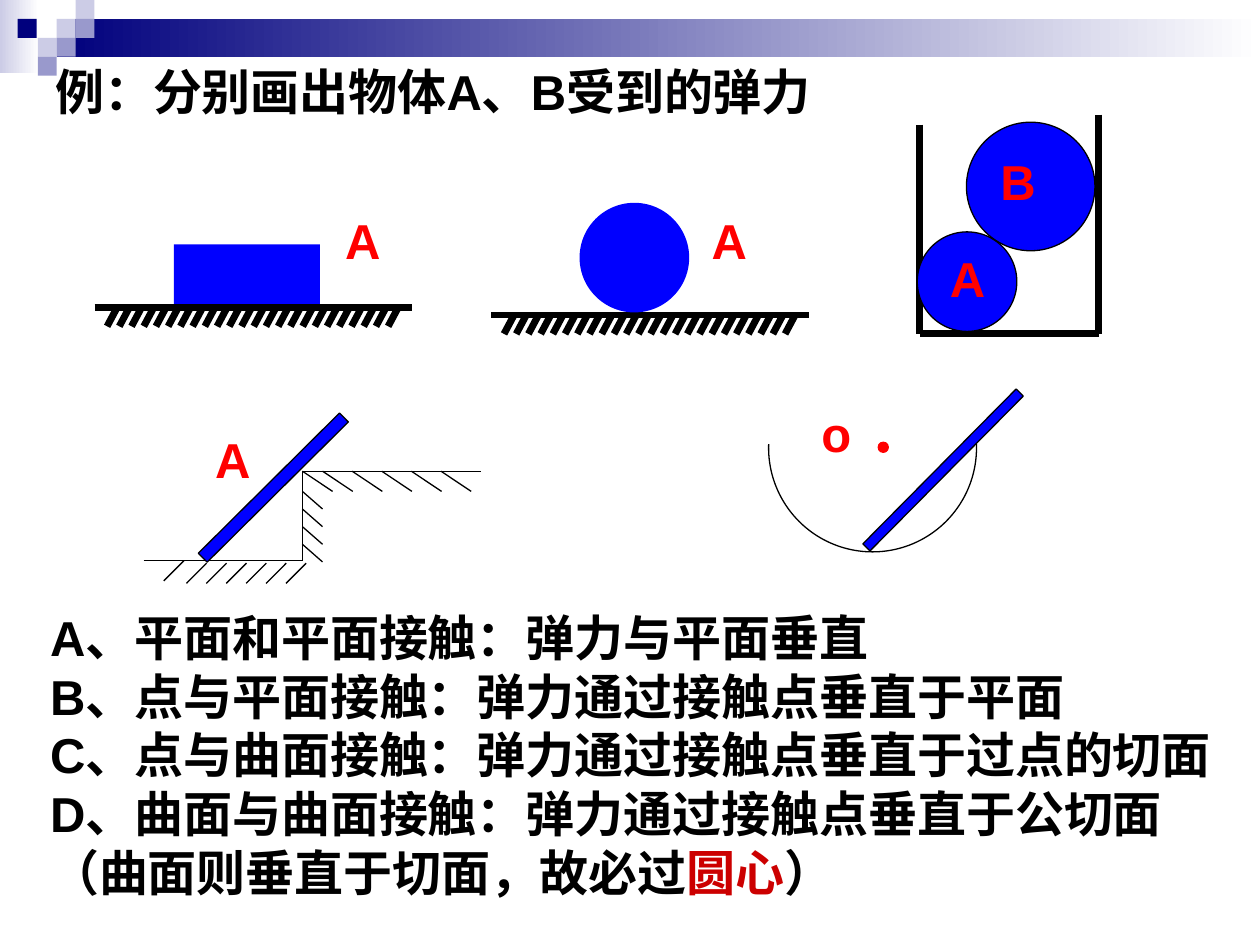
from lxml import etree
from pptx import Presentation
from pptx.dml.color import RGBColor
from pptx.enum import shapes, text
from pptx.oxml.ns import qn
from pptx.util import Inches, Pt

BLACK, WHITE = RGBColor(0, 0, 0), RGBColor(255, 255, 255)
BLUE, RED = RGBColor(0, 0, 255), RGBColor(255, 0, 0)
DARK_RED, NAVY = RGBColor(0xCC, 0, 0), RGBColor(0, 0, 0x7D)
PALE, LILAC = RGBColor(0xCC, 0xCC, 0xE6), RGBColor(0x99, 0x99, 0xCC)
LATIN, CJK = "Arial", "Noto Sans CJK SC"
THIN, THICK = 0.75, 4
RECT, OVAL = shapes.MSO_SHAPE.RECTANGLE, shapes.MSO_SHAPE.OVAL

# Content: each paragraph is a font and its (text, colour) runs
TITLE = [(LATIN, [("例：分别画出物体A、B受到的弹力", BLACK)])]
RULES = [
    (LATIN, [("A、平面和平面接触：弹力与平面垂直", BLACK)]),
    (LATIN, [("B、点与平面接触：弹力通过接触点垂直于平面", BLACK)]),
    (LATIN, [("C、点与曲面接触：弹力通过接触点垂直于过点的切面", BLACK)]),
    (LATIN, [("D、曲面与曲面接触：弹力通过接触点垂直于公切面", BLACK)]),
    (CJK, [("（曲面则垂直于切面，故必过", BLACK), ("圆心", DARK_RED), ("）", BLACK)]),
]
# Header bars (fade to white) and squares
BARS = [((0, 0, 0.31, 0.58), PALE), ((0.45, 0.15, 9.55, 0.3), NAVY)]
SQUARES = [(0.45, 0.15, PALE), (0.6, 0, PALE), (0.6, 0.15, LILAC),
           (0.3, 0.3, PALE), (0.14, 0.15, NAVY), (0.45, 0.3, LILAC),
           (0.3, 0.45, LILAC)]


def add_shape(parent, kind, box, fill=None, line=None, rotation=0):
    sp = parent.shapes.add_shape(kind, *map(Inches, box))
    sp.shadow.inherit = False
    sp.rotation = rotation
    if fill is None:
        sp.fill.background()
    else:
        sp.fill.solid()
        sp.fill.fore_color.rgb = fill
    if line is None:
        sp.line.fill.background()
    else:
        sp.line.color.rgb = line
        sp.line.width = Pt(THIN)
    return sp


def add_line(parent, x1, y1, x2, y2, width=THIN):
    cn = parent.shapes.add_connector(
        shapes.MSO_CONNECTOR.STRAIGHT, *map(Inches, (x1, y1, x2, y2)))
    cn.line.color.rgb = BLACK
    cn.line.width = Pt(width)
    etree.SubElement(cn.element.spPr, qn("a:effectLst"))


def add_hatch(parent, x, y, dx, dy, count, step_x=0, step_y=0, width=THIN):
    for i in range(count):
        left, top = x + i * step_x, y + i * step_y
        add_line(parent, left, top, left + dx, top + dy, width)


def add_ground(parent, x, y):
    add_line(parent, x, y, x + 2.52, y, THICK)
    add_hatch(parent, x + 0.18, y, -0.08, 0.15, 24, step_x=0.097, width=THICK)


def add_text(parent, box, paragraphs, wrap=False):
    tf = parent.shapes.add_textbox(*map(Inches, box)).text_frame
    tf.word_wrap = wrap
    tf.auto_size = text.MSO_AUTO_SIZE.SHAPE_TO_FIT_TEXT
    for i, (font, runs) in enumerate(paragraphs):
        p = tf.add_paragraph() if i else tf.paragraphs[0]
        p.font.size, p.font.bold, p.font.name = Pt(28), True, font
        if len(runs) == 1:
            p.font.color.rgb = runs[0][1]
        props = p.font._element
        etree.SubElement(props, qn("a:ea")).set("typeface", CJK)
        for words, color in runs:
            r = p.add_run()
            r.text = words
            if len(runs) > 1:
                r.font.color.rgb = color


def add_label(parent, letter, x, y, width=0.48):
    add_text(parent, (x, y, width, 0.57), [(LATIN, [(letter, RED)])])


prs = Presentation()
prs.slide_width, prs.slide_height = Inches(10), Inches(7.5)
s = prs.slides.add_slide(prs.slide_layouts[6])

# Header decoration
header = s.shapes.add_group_shape()
for box, color in BARS:
    sp = add_shape(header, RECT, box)
    sp.fill.gradient()
    sp.fill.gradient_angle = 0
    for stop, shade, place in zip(sp.fill.gradient_stops, (color, WHITE), (0, 1)):
        stop.color.rgb, stop.position = shade, place
for x, y, color in SQUARES:
    add_shape(header, RECT, (x, y, 0.15, 0.15), color)

add_text(s, (0.34, 0.44, 6.57, 0.57), TITLE)

# Block on the ground
block = s.shapes.add_group_shape()
add_shape(block, RECT, (1.38, 1.94, 1.16, 0.5), BLUE)
add_ground(block, 0.75, 2.44)
add_label(block, "A", 2.64, 1.62)

# Rod in a bowl: the white panel leaves the lower half of the circle
bowl = s.shapes.add_group_shape()
add_shape(bowl, OVAL, (6.1, 2.73, 1.65, 1.65), line=BLACK)
add_shape(bowl, RECT, (5.55, 2.02, 2.6, 1.5), WHITE, WHITE)
add_shape(bowl, RECT, (6.62, 3.69, 1.73, 0.08), BLUE, BLACK, 314.7)
add_shape(bowl, OVAL, (6.97, 3.51, 0.08, 0.08), RED, RED)
add_label(bowl, "o", 6.42, 3.15, 0.44)

# Ball on the ground
ball = s.shapes.add_group_shape()
add_ground(ball, 3.9, 2.5)
add_shape(ball, OVAL, (4.6, 1.61, 0.87, 0.87), BLUE)
add_label(ball, "A", 5.55, 1.62)

# Two balls in a box
box_balls = s.shapes.add_group_shape()
add_line(box_balls, 7.3, 0.99, 7.3, 2.65, THICK)
add_line(box_balls, 7.3, 2.65, 8.72, 2.65, THICK)
add_line(box_balls, 8.72, 0.91, 8.72, 2.65, THICK)
add_shape(box_balls, OVAL, (7.28, 1.84, 0.79, 0.79), BLUE, BLACK)
add_shape(box_balls, OVAL, (7.67, 0.97, 1.02, 1.02), BLUE, BLACK)
add_label(box_balls, "B", 7.84, 1.15)
add_label(box_balls, "A", 7.44, 1.92)

# Rod leaning on a step
step = s.shapes.add_group_shape()
add_line(step, 1.14, 4.45, 2.4, 4.45)
add_line(step, 2.4, 3.74, 2.4, 4.45)
add_line(step, 2.4, 3.74, 3.82, 3.74)
add_shape(step, RECT, (1.38, 3.82, 1.58, 0.1), BLUE, BLACK, 315.2)
add_hatch(step, 1.64, 4.47, -0.16, 0.16, 6, step_x=0.158)
add_hatch(step, 1.46, 4.45, -0.16, 0.16, 1)
add_hatch(step, 2.4, 3.9, 0.16, 0.14, 4, step_y=0.14)
add_hatch(step, 2.4, 3.74, 0.24, 0.16, 1)
add_hatch(step, 2.56, 3.74, 0.24, 0.16, 5, step_x=0.235)
add_label(step, "A", 1.61, 3.36)

# Contact rules
add_text(s, (0.3, 4.77, 9.6, 2.9), RULES, wrap=True)

prs.save("out.pptx")
